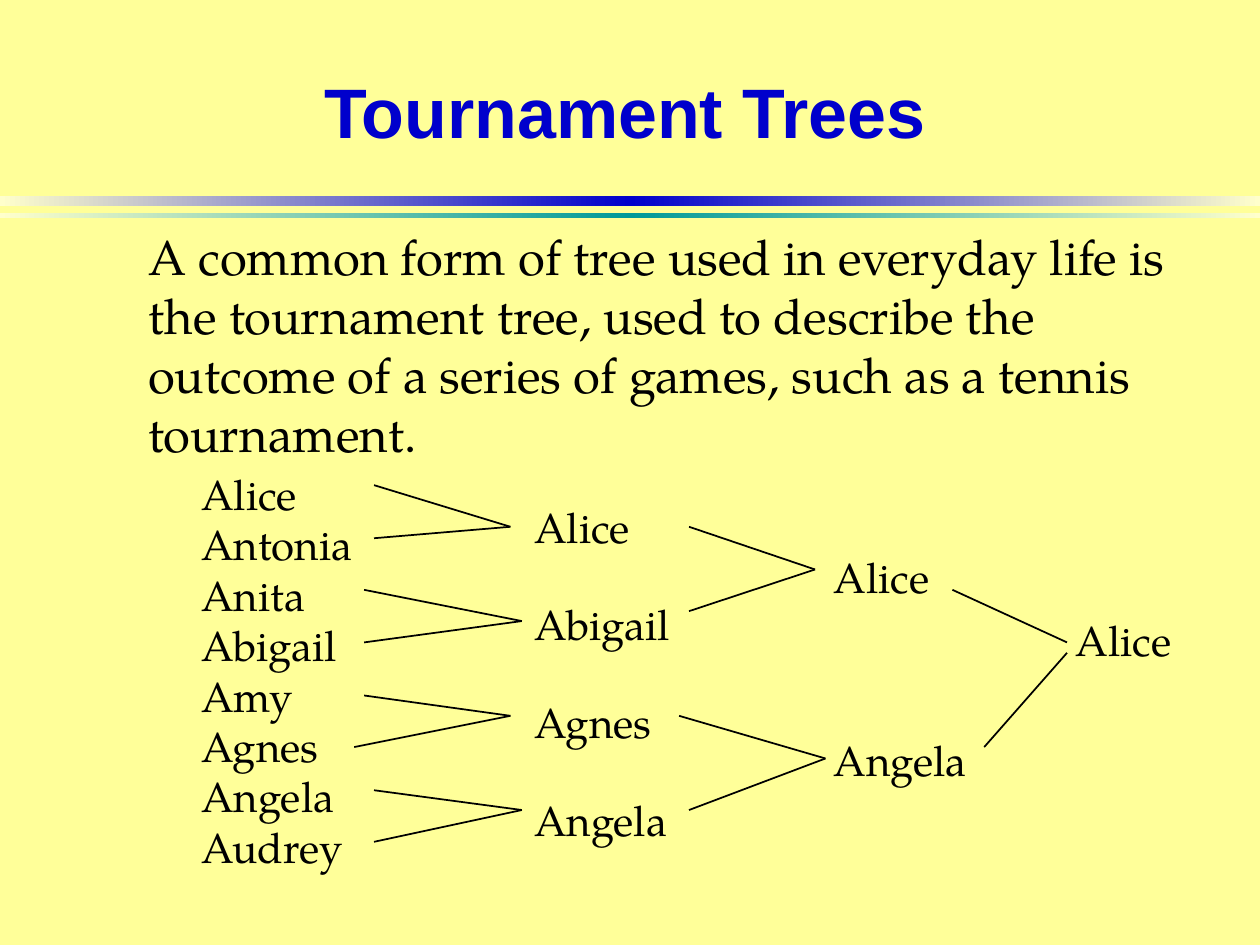
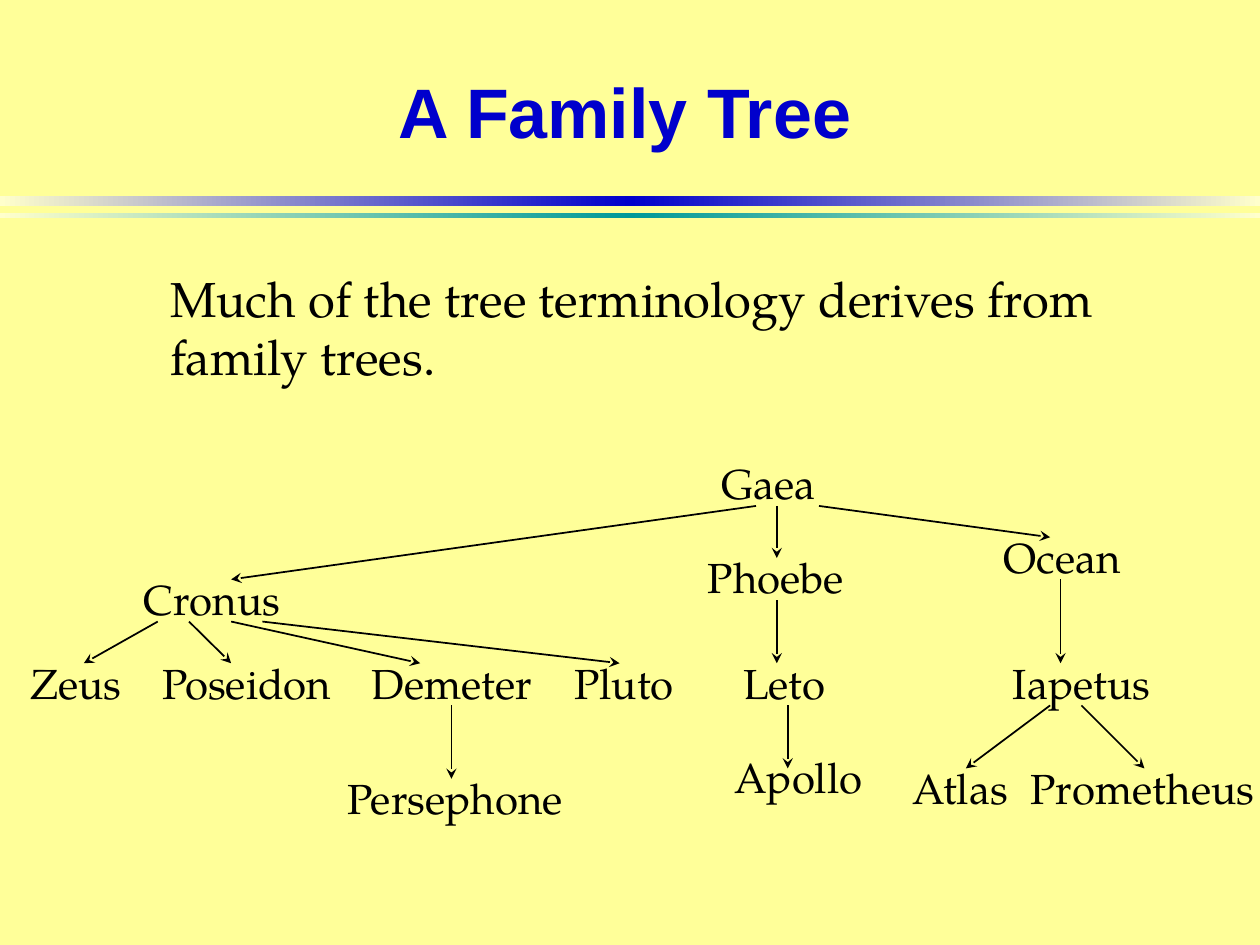
from copy import deepcopy

from pptx import Presentation
from pptx import util as u
from pptx.dml.color import RGBColor
from pptx.enum import shapes, text
from pptx.oxml import ns, xmlchemy
from pptx.oxml.xmlchemy import OxmlElement

COLORS = {"paper": "FFFF99", "fade": "FFFFCC", "blue": "0000CC",
          "teal": "009999", "ink": "000000"}
HEADING_FONT, BODY_FONT = "Arial", "TeX Gyre Pagella"

# Lengths are in centimetres.
PAGE_SIZE = (25.4, 19.05)
TITLE_BOX = (1.7, 0.64, 21.8, 3.18)
BANDS = [("blue", 3.96, 0.2), ("teal", 4.29, 0.1)]  # colour, top, height

TOURNAMENT_INTRO = (
    "A common form of tree used in everyday life is the tournament tree, used to "
    "describe the outcome of a series of games, such as a tennis tournament."
)
ROUNDS = [  # players, box, points between players
    (["Alice", "Antonia", "Anita", "Abigail", "Amy", "Agnes", "Angela", "Audrey"],
     (3.81, 9.32, 3.73, 8.38), 0),
    (["Alice", "Abigail", "Agnes", "Angela"], (10.52, 9.98, 3.61, 7.19), 27),
    (["Alice", "Angela"], (16.56, 11.0, 3.3, 4.95), 75.6),
    (["Alice"], (21.44, 12.27, 2.51, 1.27), 0),
]
MATCHES = [  # winner's point, players' points
    ((10.29, 10.62), [(7.54, 9.78), (7.54, 10.85)]),
    ((10.52, 12.52), [(7.34, 11.89), (7.34, 12.95)]),
    ((10.29, 14.43), [(7.34, 14.02), (7.14, 15.06)]),
    ((10.52, 16.33), [(7.54, 15.93), (7.54, 16.97)]),
    ((16.43, 11.48), [(13.89, 10.62), (13.89, 12.32)]),
    ((16.64, 15.29), [(13.69, 14.43), (13.89, 16.33)]),
    ((21.51, 12.95), [(19.2, 11.89)]),
    ((21.51, 13.16), [(19.84, 15.06)]),
]

FAMILY_INTRO = "Much of the tree terminology derives from family trees."
NAME_HEIGHT = 1.27
FAMILY = {  # left, top, width
    "Gaea": (14.3, 9.1, 2.51),
    "Cronus": (2.64, 11.43, 3.38),
    "Phoebe": (14.02, 11.0, 3.48),
    "Ocean": (19.99, 10.58, 3.02),
    "Zeus": (0.36, 13.12, 2.39),
    "Poseidon": (3.02, 13.12, 4.17),
    "Demeter": (7.24, 13.12, 3.99),
    "Pluto": (11.33, 13.12, 2.62),
    "Leto": (14.73, 13.12, 2.29),
    "Iapetus": (20.17, 13.12, 3.48),
    "Persephone": (6.76, 15.45, 5.26),
    "Apollo": (14.55, 15.03, 3.12),
    "Atlas": (18.14, 15.24, 2.54),
    "Prometheus": (20.52, 15.24, 5.38),
}
DESCENT = [  # parent, child, x at the parent, x at the child
    ("Gaea", "Phoebe", 15.66, 15.66),
    ("Phoebe", "Leto", 15.66, 15.66),
    ("Leto", "Apollo", 15.88, 15.88),
    ("Gaea", "Cronus", 15.24, 4.66),
    ("Gaea", "Ocean", 16.51, 21.17),
    ("Cronus", "Zeus", 3.18, 1.69),
    ("Cronus", "Poseidon", 3.81, 4.66),
    ("Cronus", "Demeter", 4.66, 8.47),
    ("Cronus", "Pluto", 5.29, 12.49),
    ("Demeter", "Persephone", 9.1, 9.1),
    ("Ocean", "Iapetus", 21.38, 21.38),
    ("Iapetus", "Atlas", 21.17, 19.47),
    ("Iapetus", "Prometheus", 21.8, 23.07),
]
EXIT_DROP, ENTRY_DROP = 1.1, 0.25  # arrow ends below the top of a name's box
ENTRY_DROPS = {"Apollo": 0.46}


def color(name):
    return RGBColor.from_string(COLORS[name])


def lengths(values):
    return [u.Cm(value) for value in values]


def add_text(page, lines, place, size=24, font=BODY_FONT, ink="ink", bold=False,
             align=text.PP_ALIGN.LEFT, anchor=text.MSO_ANCHOR.TOP, gap=0, wrap=False):
    """Write one paragraph per line, with gap points between paragraphs."""
    frame = page.shapes.add_textbox(*lengths(place)).text_frame
    frame.word_wrap = wrap
    frame.auto_size = text.MSO_AUTO_SIZE.NONE if wrap else text.MSO_AUTO_SIZE.SHAPE_TO_FIT_TEXT
    frame.vertical_anchor = anchor
    for index, line in enumerate(lines):
        para = frame.add_paragraph() if index else frame.paragraphs[0]
        para.alignment = align
        para.space_before = u.Pt(gap if index else 0)
        span = para.add_run()
        span.text = line
        span.font.size, span.font.name, span.font.bold = u.Pt(size), font, bold
        span.font.color.rgb = color(ink)


def add_line(page, start, end, arrow=False):
    line = page.shapes.add_connector(shapes.MSO_CONNECTOR.STRAIGHT, *lengths(start + end))
    line.line.color.rgb = color("ink")
    line.line.width = u.Pt(1)
    if arrow:
        head = OxmlElement("a:tailEnd")
        head.set("type", "stealth")
        line.line._get_or_add_ln().append(head)
    line._element.spPr.append(OxmlElement("a:effectLst"))


def add_band(page, middle, top, height):
    """Draw a full-width strip that fades out towards both ends."""
    band = page.shapes.add_shape(shapes.MSO_SHAPE.RECTANGLE,
                                 *lengths((0, top, PAGE_SIZE[0], height)))
    band.shadow.inherit = False
    band.line.fill.background()
    band.fill.gradient()
    band.fill.gradient_angle = 0
    stops = band._element.spPr.find(".//" + ns.qn("a:gsLst"))
    stops.append(deepcopy(stops[0]))
    for index, (stop, name) in enumerate(zip(band.fill.gradient_stops,
                                             ("fade", middle, "fade"))):
        stop.position = index / 2
        stop.color.rgb = color(name)


def add_page(deck, title):
    page = deck.slides.add_slide(deck.slide_layouts[6])
    page.background.fill.solid()
    page.background.fill.fore_color.rgb = color("paper")
    for band in BANDS:
        add_band(page, *band)
    add_text(page, [title], TITLE_BOX, size=40, font=HEADING_FONT, ink="blue", bold=True,
             align=text.PP_ALIGN.CENTER, anchor=text.MSO_ANCHOR.MIDDLE, wrap=True)
    return page


def add_tournament(deck):
    page = add_page(deck, "Tournament Trees")
    add_text(page, [TOURNAMENT_INTRO], (2.74, 4.45, 21.59, 5.0), size=28, wrap=True)
    for players, place, gap in ROUNDS:
        add_text(page, players, place, gap=gap)
    for winner, players in MATCHES:
        for player in players:
            add_line(page, player, winner)


def add_family(deck):
    page = add_page(deck, "A Family Tree")
    add_text(page, [FAMILY_INTRO], (3.18, 5.28, 20.32, 2.64), size=28, wrap=True)
    for name, place in FAMILY.items():
        add_text(page, [name], place + (NAME_HEIGHT,))
    for parent, child, start_x, end_x in DESCENT:
        start_y = FAMILY[parent][1] + EXIT_DROP
        end_y = FAMILY[child][1] + ENTRY_DROPS.get(child, ENTRY_DROP)
        add_line(page, (start_x, start_y), (end_x, end_y), arrow=True)


def main():
    deck = Presentation()
    deck.slide_width, deck.slide_height = lengths(PAGE_SIZE)
    add_tournament(deck)
    add_family(deck)
    deck.save("out.pptx")


if __name__ == "__main__":
    main()
